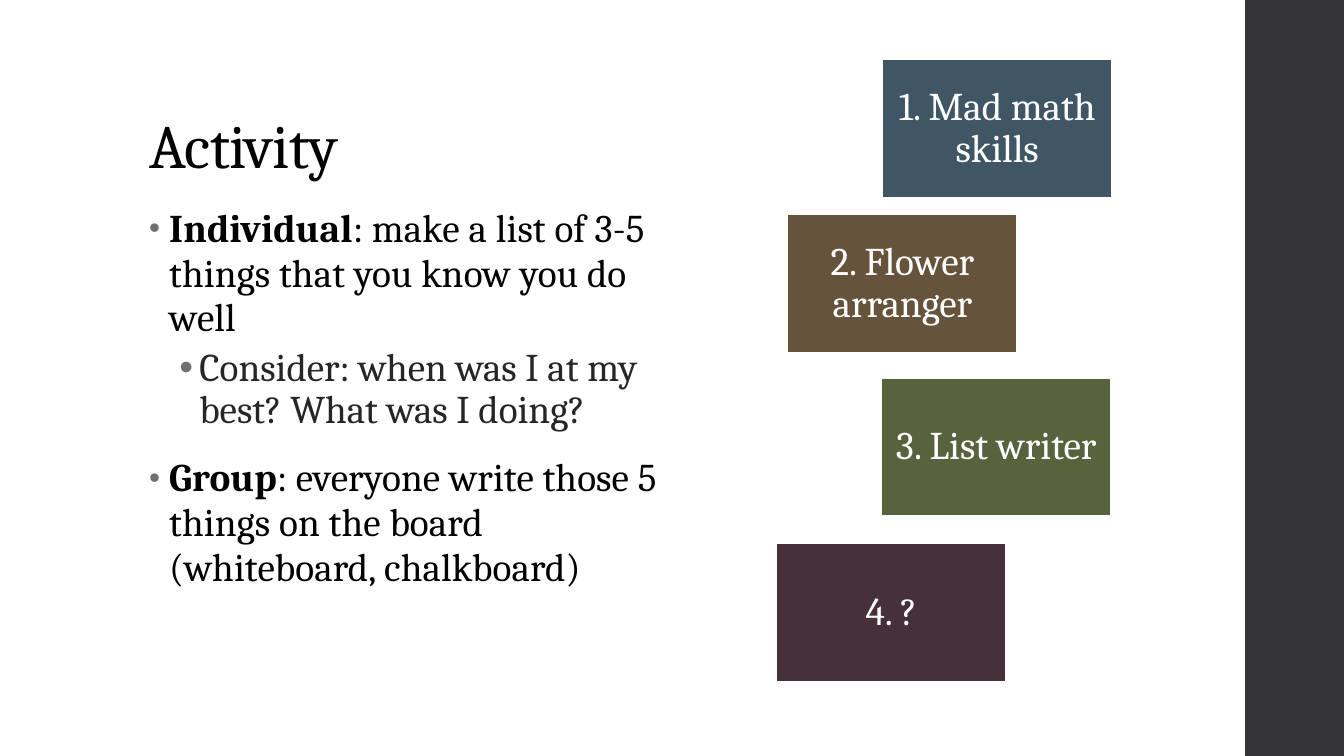
"""Build the Activity slide with its bulleted instructions and four example cards."""
from lxml import etree
from pptx import Presentation
from pptx import util as u
from pptx.dml import color
from pptx.enum import shapes, text
from pptx.oxml import ns

COLORS = {
    "white": "FFFFFF", "black": "000000", "band": "353537",
    "bullet": "6F6F74", "detail": "262626", "blue": "415665",
    "brown": "65533C", "green": "56633D", "plum": "46313A",
}


class SlideBuilder:
    """Hold the text style and the current slide."""

    font_name = "Cambria"
    body_size = 28

    def __init__(self, slide):
        self.slide = slide

    def rgb(self, name):
        return color.RGBColor.from_string(COLORS[name])

    def rectangle(self, left, top, width, height, fill, outline=None):
        shape = self.slide.shapes.add_shape(
            shapes.MSO_SHAPE.RECTANGLE,
            *map(u.Inches, (left, top, width, height)))
        shape.shadow.inherit = False
        shape.fill.solid()
        shape.fill.fore_color.rgb = self.rgb(fill)
        if outline:
            shape.line.color.rgb = self.rgb(outline)
            shape.line.width = u.Pt(1.1)
        else:
            shape.line.fill.background()
        return shape

    def text_box(self, left, top, width, height, anchor):
        box = self.slide.shapes.add_textbox(
            *map(u.Inches, (left, top, width, height)))
        box.text_frame.word_wrap = True
        box.text_frame.vertical_anchor = anchor
        return box.text_frame

    def run(self, paragraph, words, fill, size=body_size, bold=False, spacing=0):
        run = paragraph.add_run()
        run.text = words
        run.font.name = self.font_name
        run.font.size = u.Pt(size)
        run.font.bold = bold
        run.font.color.rgb = self.rgb(fill)
        if spacing:
            run.font._element.set("spc", str(round(spacing * 100)))

    def bullet(self, paragraph, indent, size_percent):
        properties = paragraph._p.get_or_add_pPr()
        properties.set("marL", str(u.Inches(indent)))
        properties.set("indent", str(u.Inches(-0.2)))
        bullet_color = etree.SubElement(properties, ns.qn("a:buClr"))
        etree.SubElement(bullet_color, ns.qn("a:srgbClr"), val=COLORS["bullet"])
        etree.SubElement(properties, ns.qn("a:buSzPct"), val=str(size_percent * 1000))
        etree.SubElement(properties, ns.qn("a:buFont"), typeface="Arial")
        etree.SubElement(properties, ns.qn("a:buChar"), char="•")

    def title(self, words):
        frame = self.text_box(1.38, 0.4, 10.6, 1.45, text.MSO_ANCHOR.BOTTOM)
        paragraph = frame.paragraphs[0]
        paragraph.line_spacing = 0.9
        self.run(paragraph, words, "black", size=44, spacing=-0.5)

    def instructions(self, items):
        frame = self.text_box(1.38, 2, 5.57, 4.76, text.MSO_ANCHOR.TOP)
        for index, (lead, words) in enumerate(items):
            paragraph = frame.add_paragraph() if index else frame.paragraphs[0]
            if lead:
                self.bullet(paragraph, 0.2, 80)
                line_spacing, before, after = 0.95, 14, 2
                self.run(paragraph, lead, "black", bold=True, spacing=0.1)
                self.run(paragraph, words, "black", spacing=0.1)
            else:
                paragraph.level = 1
                self.bullet(paragraph, 0.5, 100)
                line_spacing, before, after = 0.9, 3, 3
                self.run(paragraph, words, "detail")
            paragraph.line_spacing = line_spacing
            paragraph.space_before = u.Pt(before if index else 0)
            paragraph.space_after = u.Pt(after)

    def card(self, left, top, fill, words):
        frame = self.rectangle(left, top, 2.28, 1.37, fill, "white").text_frame
        frame.word_wrap = True
        frame.vertical_anchor = text.MSO_ANCHOR.MIDDLE
        frame.margin_left = frame.margin_right = u.Inches(0.12)
        frame.margin_top = frame.margin_bottom = u.Inches(0.12)
        paragraph = frame.paragraphs[0]
        paragraph.alignment = text.PP_ALIGN.CENTER
        paragraph.line_spacing = 0.9
        self.run(paragraph, words, "white")


def main():
    presentation = Presentation()
    presentation.slide_width = u.Inches(13.33)
    presentation.slide_height = u.Inches(7.5)
    slide = presentation.slides.add_slide(presentation.slide_layouts[6])
    builder = SlideBuilder(slide)

    builder.rectangle(12.35, 0, 0.98, 7.5, "band")
    builder.title("Activity")
    builder.instructions([
        ("Individual", ": make a list of 3-5 things that you know you do well"),
        (None, "Consider: when was I at my best? What was I doing?"),
        ("Group", ": everyone write those 5 things on the board (whiteboard, chalkboard)"),
    ])
    for left, top, fill, words in (
        (8.75, 0.59, "blue", "1. Mad math skills"),
        (7.81, 2.13, "brown", "2. Flower arranger"),
        (8.74, 3.75, "green", "3. List writer"),
        (7.7, 5.39, "plum", "4. ?"),
    ):
        builder.card(left, top, fill, words)

    presentation.save("out.pptx")


if __name__ == "__main__":
    main()
